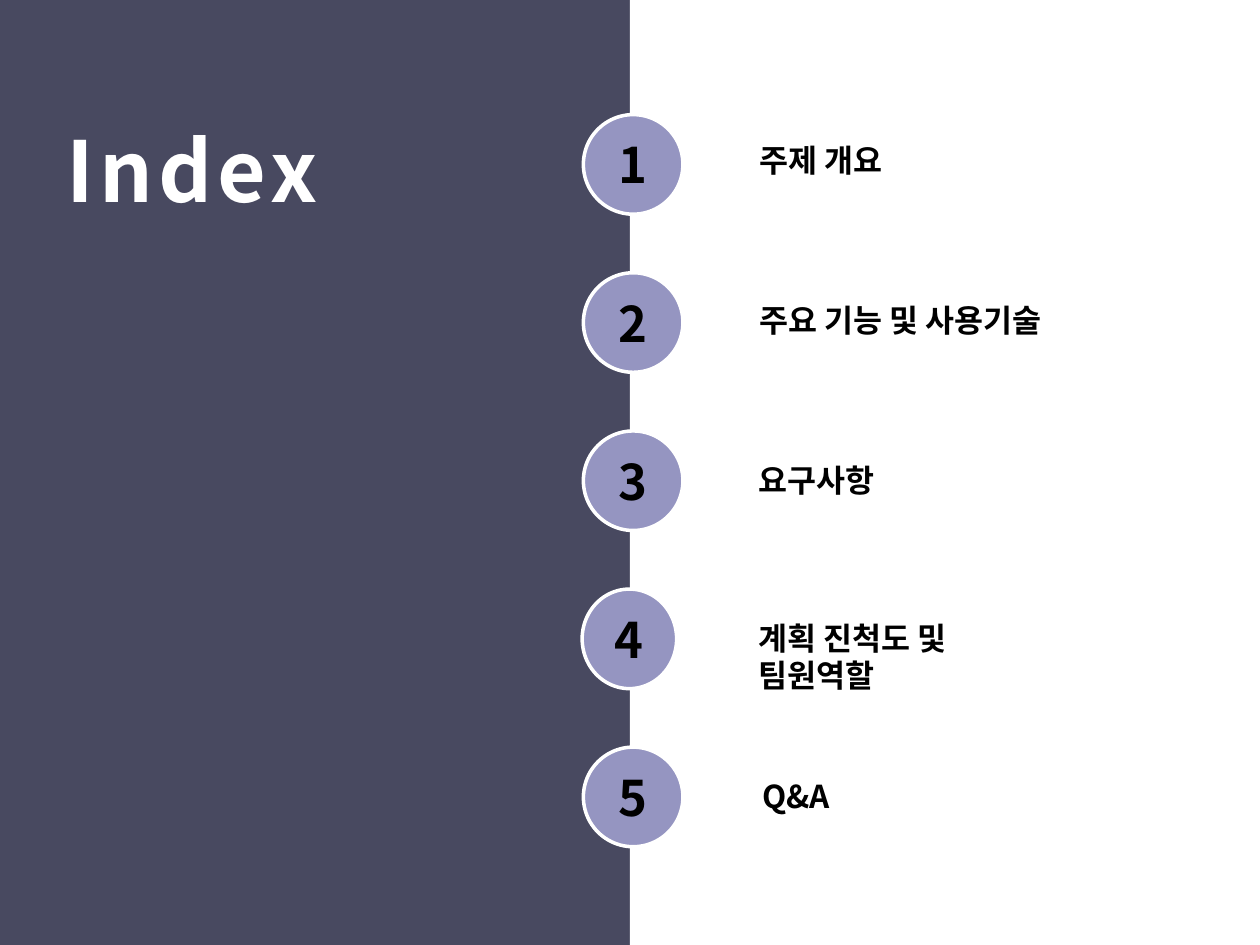
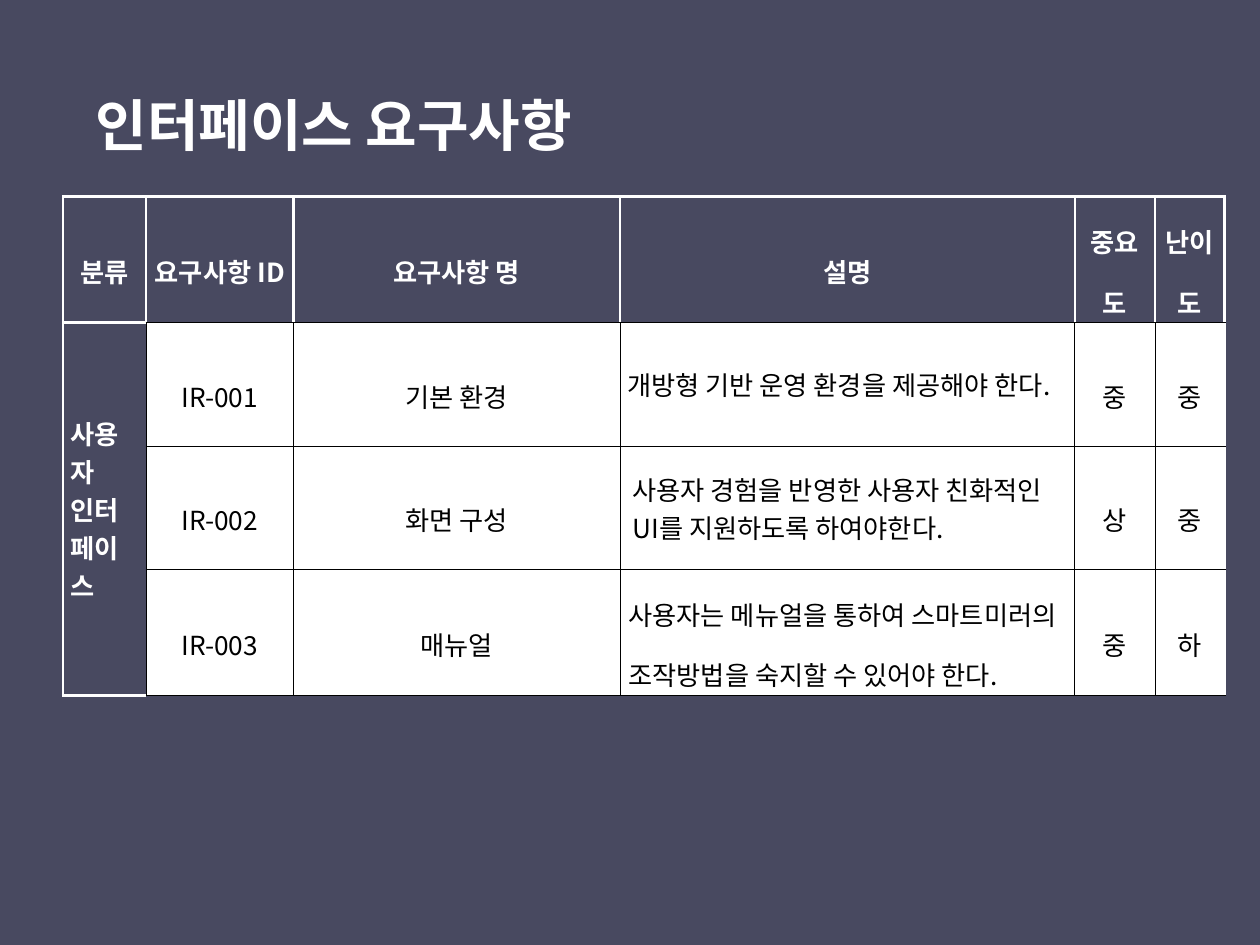
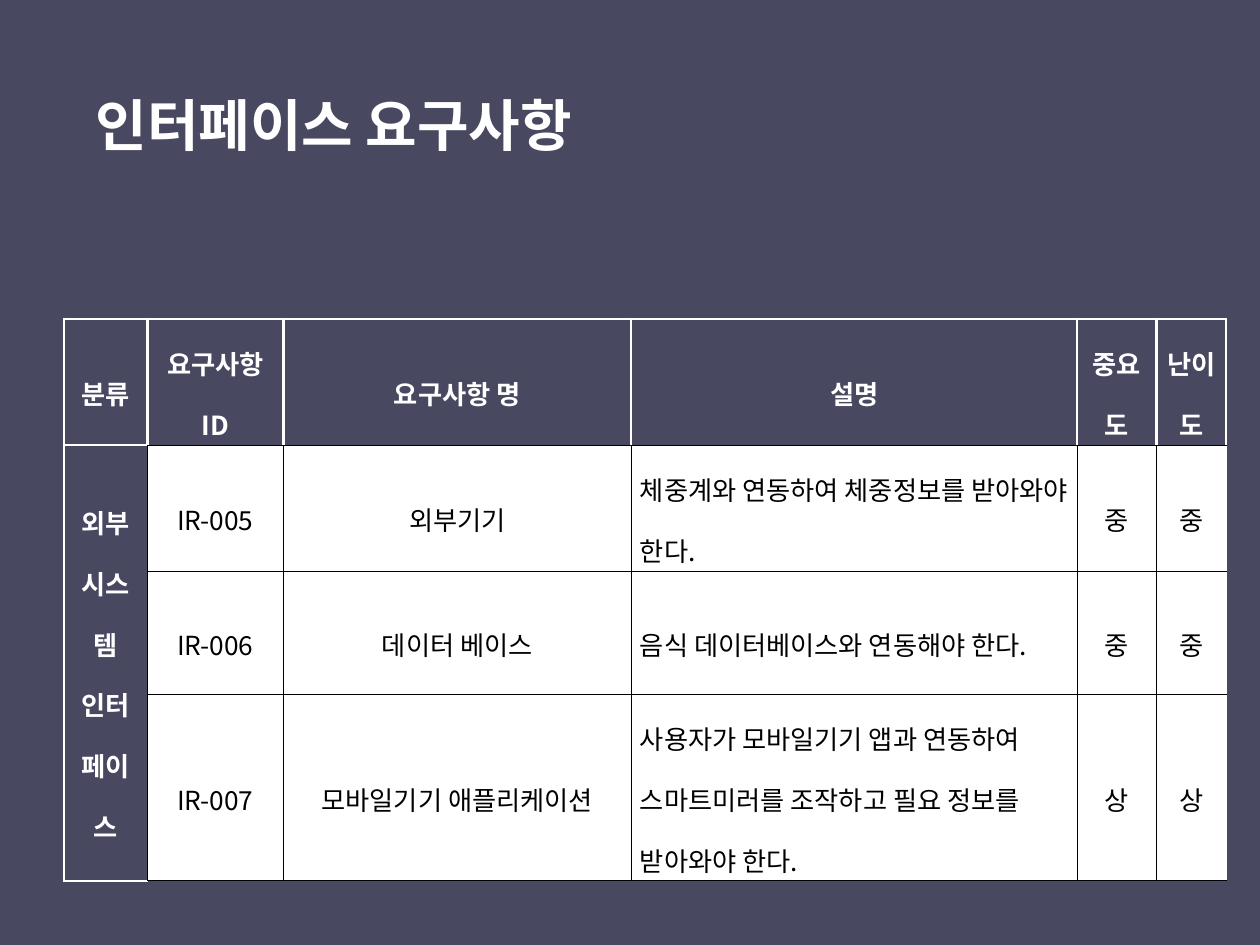
from lxml import etree
from pptx import Presentation
from pptx.dml.color import RGBColor
from pptx.enum.shapes import MSO_SHAPE
from pptx.enum.text import MSO_ANCHOR, PP_ALIGN
from pptx.oxml.ns import qn
from pptx.util import Inches, Pt

RECTANGLE, OVAL = MSO_SHAPE.RECTANGLE, MSO_SHAPE.OVAL
LEFT, CENTER = PP_ALIGN.LEFT, PP_ALIGN.CENTER
TOP, MIDDLE = MSO_ANCHOR.TOP, MSO_ANCHOR.MIDDLE

NAVY, LILAC, WHITE, BLACK = "484960", "9595C1", "FFFFFF", "000000"
FONT, TITLE_FONT = "Noto Sans CJK KR", "Noto Sans CJK SC"
THICK, THIN = (WHITE, 1.5), (BLACK, 0.28)
BODY_BORDERS = {"L": THIN, "R": THIN, "T": THIN, "B": THIN}
HEADER_BORDERS = {"L": THICK, "R": THICK, "T": THICK, "B": THIN}
CATEGORY_BORDERS = {"L": THICK, "R": THIN, "T": THICK, "B": THICK}

HEADERS = ["분류", "요구사항 ID", "요구사항 명", "설명", "중요도", "난이도"]
DESCRIPTION_COLUMN = 3
FIRST_BADGE_TOP, LAST_BADGE_TOP = 0.91, 5.93


def color(value):
    """Turn a hex string into a colour."""
    return RGBColor.from_string(value)


def write(frame, text, size=15, font=FONT, ink=BLACK, bold=True, align=LEFT,
          anchor=TOP, line_spacing=None, tracking=None):
    """Write text into a frame, one paragraph for each line."""
    frame.word_wrap = True
    frame.vertical_anchor = anchor
    for index, line in enumerate(text.split("\n")):
        paragraph = frame.add_paragraph() if index else frame.paragraphs[0]
        paragraph.alignment = align
        if line_spacing:
            paragraph.line_spacing = line_spacing
        run = paragraph.add_run()
        run.text = line
        run.font.size = Pt(size)
        run.font.bold = bold
        run.font.color.rgb = color(ink)
        run.font.name = font
        properties = run.font._element
        properties.set("kern", "0")
        etree.SubElement(properties, qn("a:ea"), typeface=font)
        if tracking:
            properties.set("spc", str(tracking * 100))


class Deck:
    """Holds the presentation, its style and the current slide."""

    def __init__(self):
        """Start a 10 by 7.5 inch presentation."""
        self.presentation = Presentation()
        self.presentation.slide_width = Inches(10)
        self.presentation.slide_height = Inches(7.5)
        self.slide = None

    def new_slide(self):
        """Add a blank slide on the navy background."""
        self.slide = self.presentation.slides.add_slide(
            self.presentation.slide_layouts[6])
        fill = self.slide.background.fill
        fill.solid()
        fill.fore_color.rgb = color(NAVY)

    def shape(self, kind, left, top, width, height, fill, line=None):
        """Add a filled shape with an optional (colour, points) outline."""
        shape = self.slide.shapes.add_shape(
            kind, Inches(left), Inches(top), Inches(width), Inches(height))
        shape.shadow.inherit = False
        shape.fill.solid()
        shape.fill.fore_color.rgb = color(fill)
        if line:
            shape.line.color.rgb = color(line[0])
            shape.line.width = Pt(line[1])
        else:
            shape.line.fill.background()
        return shape

    def text(self, text, left, top, width, height, **style):
        """Add a text box."""
        box = self.slide.shapes.add_textbox(
            Inches(left), Inches(top), Inches(width), Inches(height))
        write(box.text_frame, text, **style)

    def badge(self, number, left, top, width):
        """Add a numbered circle."""
        circle = self.shape(OVAL, left, top, width, 0.79, LILAC, (WHITE, 2))
        write(circle.text_frame, number, size=28, align=CENTER, anchor=MIDDLE)

    def cell(self, cell, text, fill, borders, margins=(0.06, 0.02), **style):
        """Format one table cell: borders, fill, margins and text."""
        properties = cell._tc.get_or_add_tcPr()
        for side in "LRTB":
            ink, width = borders[side]
            line = etree.SubElement(properties, qn("a:ln" + side),
                                    w=str(Pt(width)))
            solid = etree.SubElement(line, qn("a:solidFill"))
            etree.SubElement(solid, qn("a:srgbClr"), val=ink)
        cell.fill.solid()
        cell.fill.fore_color.rgb = color(fill)
        cell.margin_left = cell.margin_right = Inches(margins[0])
        cell.margin_top = cell.margin_bottom = Inches(margins[1])
        cell.vertical_anchor = MIDDLE
        if text:
            write(cell.text_frame, text, anchor=None, **style)

    def requirements(self, left, top, widths, heights, category,
                     category_style, rows):
        """Add a requirements table with one merged category cell."""
        frame = self.slide.shapes.add_table(
            len(heights), len(widths), Inches(left), Inches(top),
            Inches(sum(widths)), Inches(sum(heights)))
        table = frame.table
        table.first_row = table.horz_banding = False
        for column, width in zip(table.columns, widths):
            column.width = Inches(width)
        for row, height in zip(table.rows, heights):
            row.height = Inches(height)

        centered = {"align": CENTER, "line_spacing": 1.6}
        for column, header in enumerate(HEADERS):
            borders = HEADER_BORDERS if column else {**HEADER_BORDERS, "B": THICK}
            self.cell(table.cell(0, column), header, NAVY, borders,
                      ink=WHITE, **centered)

        table.cell(1, 0).merge(table.cell(len(rows), 0))
        for row, (values, description_style) in enumerate(rows, start=1):
            self.cell(table.cell(row, 0), category if row == 1 else "", NAVY,
                      CATEGORY_BORDERS, ink=WHITE, **category_style)
            for column, value in enumerate(values, start=1):
                is_description = column == DESCRIPTION_COLUMN
                style = description_style if is_description else centered
                is_last = column == len(values)
                borders = {**BODY_BORDERS, "R": THICK} if is_last else BODY_BORDERS
                self.cell(table.cell(row, column), value, WHITE, borders,
                          bold=False, **style)

    def requirements_slide(self, **table):
        """Add a titled slide with a requirements table."""
        self.new_slide()
        self.text("인터페이스 요구사항", 0.66, 0.55, 5.12, 0.87,
                  size=32, ink=WHITE, anchor=MIDDLE)
        self.requirements(**table)


deck = Deck()

# Index
deck.new_slide()
deck.shape(RECTANGLE, 5, 0, 5, 7.5, WHITE)
deck.text("Index", 0.43, 0.89, 3.62, 0.91, size=48, font=TITLE_FONT,
          ink=WHITE, tracking=3)
index_entries = [
    ("주제 개요", 5.93, 1.07, 2.13, 0.4),
    ("주요 기능 및 사용기술", 5.93, 2.34, 4.44, 0.4),
    ("요구사항", 5.92, 3.61, 2.13, 0.4),
    ("계획 진척도 및 팀원역할", 5.92, 4.86, 2.13, 0.71),
    ("Q&A", 5.95, 6.12, 2.13, 0.4),
]
badge_pitch = (LAST_BADGE_TOP - FIRST_BADGE_TOP) / (len(index_entries) - 1)
for index, entry in enumerate(index_entries):
    badge_left, badge_width = (4.62, 0.75) if index == 3 else (4.63, 0.79)
    deck.badge(str(index + 1), badge_left,
               FIRST_BADGE_TOP + badge_pitch * index, badge_width)
    deck.text(*entry, size=18)

# User interface requirements
spaced = {"line_spacing": 1.6, "margins": (0.07, 0.02)}
deck.requirements_slide(
    left=0.5, top=1.56, widths=[0.66, 1.17, 2.59, 3.61, 0.64, 0.55],
    heights=[1, 0.98, 0.98, 1],
    category="사용자 인터페이스", category_style={},
    rows=[
        (["IR-001", "기본 환경", "개방형 기반 운영 환경을 제공해야 한다.",
          "중", "중"], {}),
        (["IR-002", "화면 구성",
          "사용자 경험을 반영한 사용자 친화적인 UI를 지원하도록 하여야한다.",
          "상", "중"], {"margins": (0.1, 0.05)}),
        (["IR-003", "매뉴얼",
          "사용자는 메뉴얼을 통하여 스마트미러의 조작방법을 숙지할 수 있어야 한다.",
          "중", "하"], spaced),
    ])

# External system interface requirements
deck.requirements_slide(
    left=0.51, top=2.53, widths=[0.66, 1.08, 2.76, 3.54, 0.63, 0.55],
    heights=[1, 1, 0.98, 1.48],
    category="외부\n시스템\n인터페이스",
    category_style={"align": CENTER, **spaced},
    rows=[
        (["IR-005", "외부기기", "체중계와 연동하여 체중정보를 받아와야 한다.",
          "중", "중"], spaced),
        (["IR-006", "데이터 베이스", "음식 데이터베이스와 연동해야 한다.",
          "중", "중"], spaced),
        (["IR-007", "모바일기기 애플리케이션",
          "사용자가 모바일기기 앱과 연동하여 스마트미러를 조작하고 필요 정보를 받아와야 한다.",
          "상", "상"], spaced),
    ])

deck.presentation.save("out.pptx")
